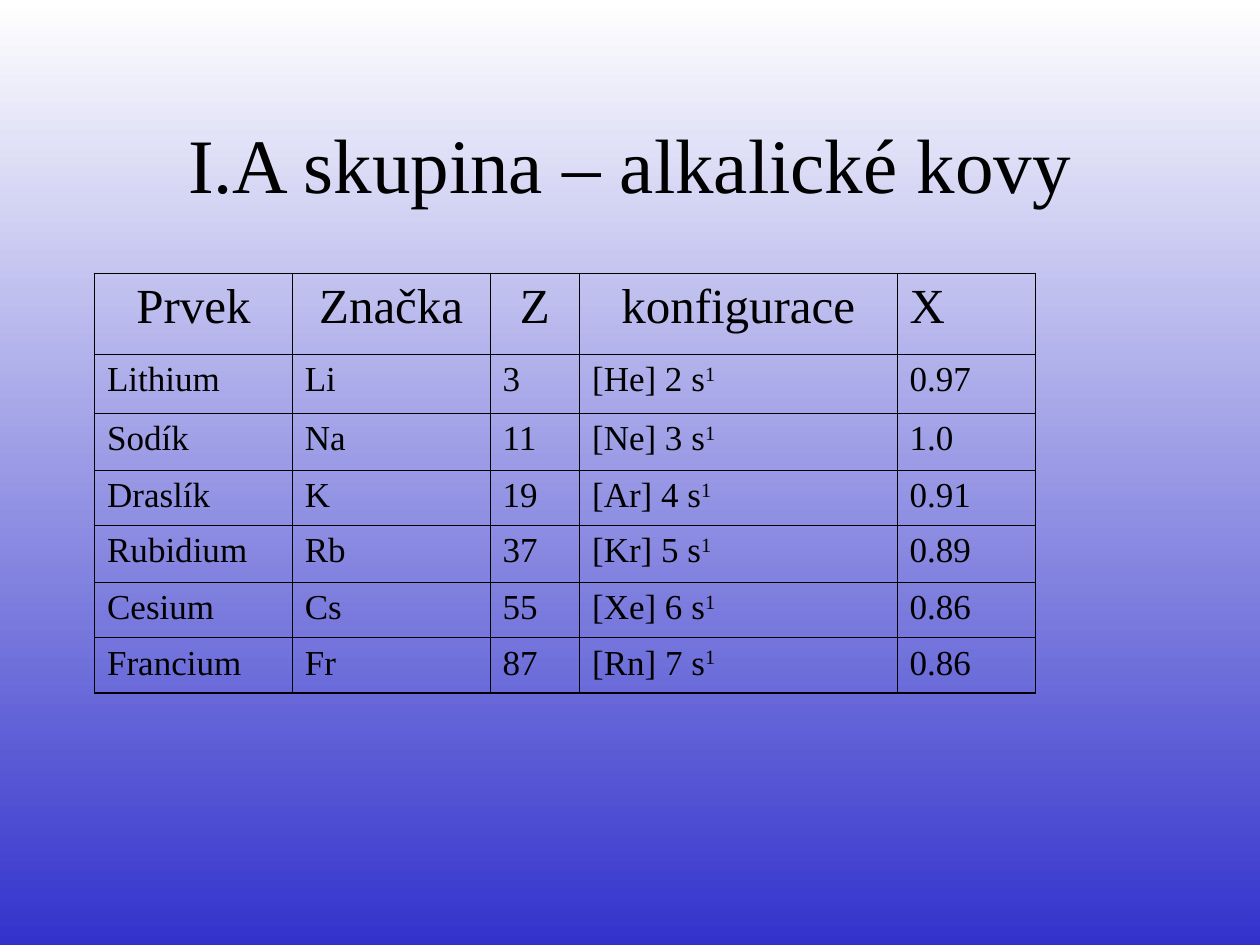
from lxml import etree
from pptx import Presentation
from pptx import util as u
from pptx.dml.color import RGBColor
from pptx.enum import text
from pptx.oxml.ns import qn

COLORS = {"text": "000000", "border": "000000", "top": "FFFFFF", "bottom": "3333CC"}
HEADER = ["Prvek", "Značka", "Z", "konfigurace", "X"]
ELEMENTS = [
    ["Lithium", "Li", "3", "[He] 2 s^1", "0.97"],
    ["Sodík", "Na", "11", "[Ne] 3 s^1", "1.0"],
    ["Draslík", "K", "19", "[Ar] 4 s^1", "0.91"],
    ["Rubidium", "Rb", "37", "[Kr] 5 s^1", "0.89"],
    ["Cesium", "Cs", "55", "[Xe] 6 s^1", "0.86"],
    ["Francium", "Fr", "87", "[Rn] 7 s^1", "0.86"],
]
COL_WIDTHS = [1.57, 1.57, 0.71, 2.52, 1.1]
ROW_HEIGHTS = [0.64, 0.47, 0.45, 0.44, 0.45, 0.44, 0.44]


class SlideBuilder:
    font = "Times New Roman"
    thin, thick = 0.45, 1.08

    def __init__(self, prs):
        self.s = prs.slides.add_slide(prs.slide_layouts[5])

    def color(self, name):
        return RGBColor.from_string(COLORS[name])

    def background(self):
        fill = self.s.background.fill
        fill.gradient()
        fill.gradient_angle = 270
        for stop, name in zip(fill.gradient_stops, ("top", "bottom")):
            stop.color.rgb = self.color(name)

    def set_text(self, tf, content, size, align):
        p = tf.paragraphs[0]
        p.alignment = align
        p.font.name = self.font
        p.font.size = u.Pt(size)
        p.font.color.rgb = self.color("text")
        base, _, power = content.partition("^")
        p.add_run().text = base
        if power:
            r = p.add_run()
            r.text = power
            r._r.get_or_add_rPr().set("baseline", "30000")

    def title(self, content, x, y, w, h):
        sp = self.s.shapes.title
        sp.left, sp.top, sp.width, sp.height = (u.Inches(v) for v in (x, y, w, h))
        tf = sp.text_frame
        tf.word_wrap = True
        tf.vertical_anchor = text.MSO_ANCHOR.MIDDLE
        self.set_text(tf, content, 44, text.PP_ALIGN.CENTER)

    def borders(self, cell, outer):
        tcPr = cell._tc.get_or_add_tcPr()
        for i, side in enumerate("LRTB"):
            width = self.thick if side in outer else self.thin
            ln = etree.Element(qn(f"a:ln{side}"), w=str(u.Pt(width)))
            fill = etree.SubElement(ln, qn("a:solidFill"))
            etree.SubElement(fill, qn("a:srgbClr"), val=COLORS["border"])
            tcPr.insert(i, ln)

    def table(self, rows, x, y, widths, heights):
        last_row, last_col = len(rows) - 1, len(widths) - 1
        frame = self.s.shapes.add_table(
            len(rows), len(widths), u.Inches(x), u.Inches(y),
            u.Inches(sum(widths)), u.Inches(sum(heights)))
        tbl = frame.table
        tbl.first_row = tbl.horz_banding = False
        for col, width in zip(tbl.columns, widths):
            col.width = u.Inches(width)
        for row, height in zip(tbl.rows, heights):
            row.height = u.Inches(height)
        for i, values in enumerate(rows):
            for j, value in enumerate(values):
                cell = tbl.cell(i, j)
                cell.fill.background()
                edges = {"L": j == 0, "R": j == last_col, "T": i == 0, "B": i == last_row}
                self.borders(cell, [side for side, on in edges.items() if on])
                centred = i == 0 and j < last_col
                align = text.PP_ALIGN.CENTER if centred else text.PP_ALIGN.LEFT
                self.set_text(cell.text_frame, value, 28 if i == 0 else 20, align)


def main():
    prs = Presentation()
    prs.slide_width, prs.slide_height = u.Inches(10), u.Inches(7.5)
    slide = SlideBuilder(prs)
    slide.background()
    slide.title("I.A skupina – alkalické kovy", 0.75, 0.67, 8.5, 1.25)
    slide.table([HEADER] + ELEMENTS, 0.75, 2.17, COL_WIDTHS, ROW_HEIGHTS)
    prs.save("out.pptx")


if __name__ == "__main__":
    main()
